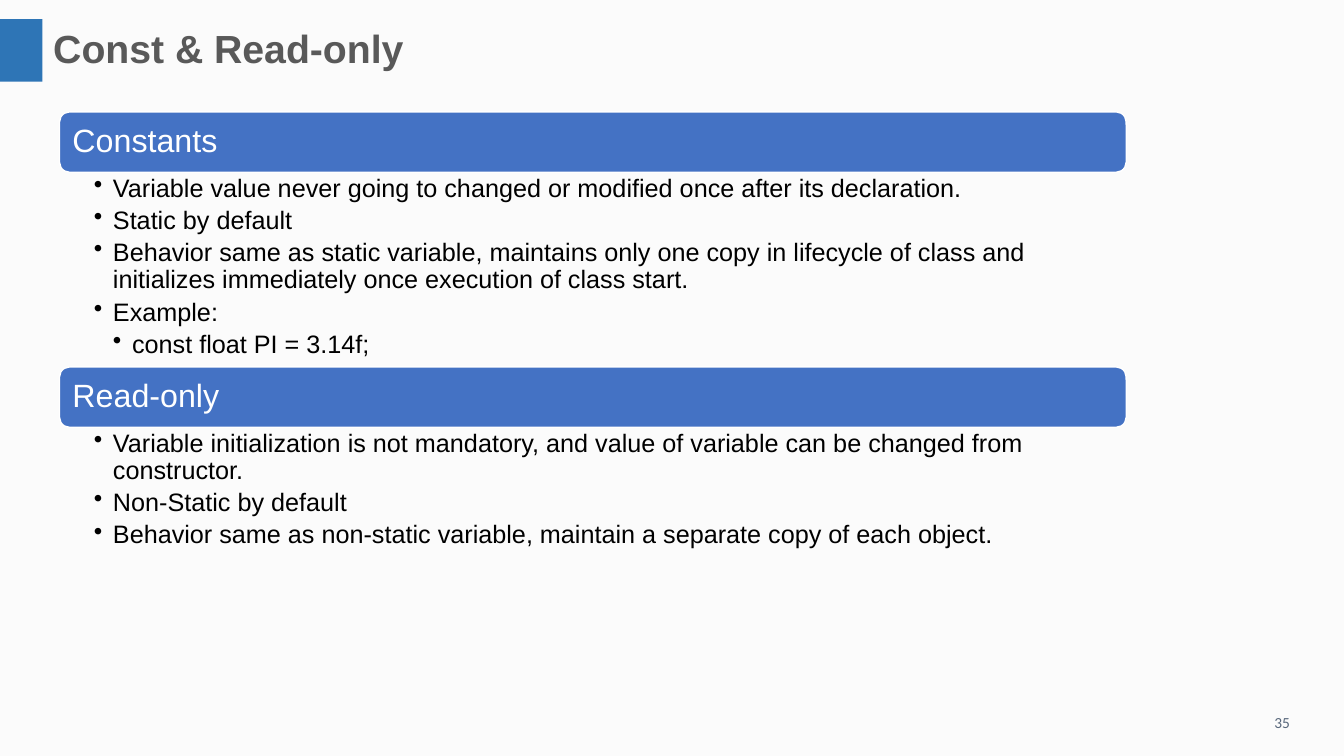
"""Build the slide that compares constants with read-only fields."""
from dataclasses import dataclass

from lxml import etree
from pptx import Presentation
from pptx import util as u
from pptx.dml.color import RGBColor
from pptx.enum import shapes, text
from pptx.oxml.ns import qn
from pptx.shapes.autoshape import Shape
from pptx.slide import Slide


@dataclass(frozen=True)
class Theme:
    background: str = "FBFBFB"
    accent: str = "2E75B6"
    bar: str = "4472C4"
    white: str = "FFFFFF"
    black: str = "000000"
    title: str = "595959"
    number: str = "58677B"
    font: str = "Arial"
    number_font: str = "Calibri"
    title_size: float = 28
    heading_size: float = 23
    body_size: float = 18
    number_size: float = 11


@dataclass(frozen=True)
class Box:
    left: float
    top: float
    width: float
    height: float

    def lengths(self) -> list[u.Length]:
        return [u.Inches(n) for n in (self.left, self.top, self.width, self.height)]


@dataclass(frozen=True)
class Line:
    text: str
    level: int = 0


@dataclass(frozen=True)
class Style:
    size: float
    color: str
    font: str = Theme.font
    bold: bool = False
    spacing: float = 0.9
    after: float = 0
    insets: tuple[float, float, float, float] = (0.1, 0.05, 0.1, 0.05)
    anchor: text.MSO_ANCHOR = text.MSO_ANCHOR.TOP


@dataclass(frozen=True)
class Section:
    heading: str
    body_height: float
    lines: tuple[Line, ...]


THEME = Theme()
TITLE = Style(THEME.title_size, THEME.title, bold=True)
NUMBER = Style(THEME.number_size, THEME.number, THEME.number_font, spacing=1)
HEADING = Style(THEME.heading_size, THEME.white, insets=(0.1,) * 4,
                anchor=text.MSO_ANCHOR.MIDDLE)
BODY = Style(THEME.body_size, THEME.black, after=3.6,
             insets=(0.34, 0.03, 0.18, 0.03))
LEFT, TOP, WIDTH, BAR_HEIGHT = 0.59, 1.11, 10.58, 0.6
BAR_PAD = 0.03
BULLET_INDENT = 0.19

SECTIONS = (
    Section("Constants", 1.93, (
        Line("Variable value never going to changed or modified once after its declaration.", 1),
        Line("Static by default", 1),
        Line("Behavior same as static variable, maintains only one copy in lifecycle of class "
             "and initializes immediately once execution of class start.", 1),
        Line("Example:", 1),
        Line("const float PI = 3.14f;", 2),
    )),
    Section("Read-only", 1.28, (
        Line("Variable initialization is not mandatory, and value of variable can be changed "
             "from constructor.", 1),
        Line("Non-Static by default", 1),
        Line("Behavior same as non-static variable, maintain a separate copy of each object.", 1),
    )),
)


def set_all(target: object, values: dict[str, object]) -> None:
    """Set each named attribute on the target."""
    for name, value in values.items():
        setattr(target, name, value)


def add_block(s: Slide, kind: shapes.MSO_SHAPE, box: Box, fill: str,
              outline: str | None = None) -> Shape:
    """Add a filled shape, outlined if a colour is given."""
    sp = s.shapes.add_shape(kind, *box.lengths())
    sp.shadow.inherit = False
    sp.fill.solid()
    sp.fill.fore_color.rgb = RGBColor.from_string(fill)
    if outline:
        sp.line.color.rgb = RGBColor.from_string(outline)
        sp.line.width = u.Pt(1)
    else:
        sp.line.fill.background()
    return sp


def add_text(s: Slide, box: Box, lines: tuple[Line, ...], style: Style) -> Shape:
    """Add a text box with one paragraph a line, bulleted above level zero."""
    sp = s.shapes.add_textbox(*box.lengths())
    tf = sp.text_frame
    left, top, right, bottom = map(u.Inches, style.insets)
    set_all(tf, {"word_wrap": True, "vertical_anchor": style.anchor,
                 "margin_left": left, "margin_top": top,
                 "margin_right": right, "margin_bottom": bottom})
    for i, line in enumerate(lines):
        p = tf.add_paragraph() if i else tf.paragraphs[0]
        set_all(p, {"level": line.level, "line_spacing": style.spacing,
                    "space_after": u.Pt(style.after)})
        if line.level:
            add_bullet(p, line.level)
        r = p.add_run()
        r.text = line.text
        set_all(r.font, {"name": style.font, "size": u.Pt(style.size), "bold": style.bold})
        r.font.color.rgb = RGBColor.from_string(style.color)
    return sp


def add_bullet(p: object, level: int) -> None:
    """Give the paragraph a hanging bullet."""
    props = p._p.get_or_add_pPr()
    props.set("marL", str(u.Inches(BULLET_INDENT * level)))
    props.set("indent", str(-u.Inches(BULLET_INDENT)))
    etree.SubElement(props, qn("a:buChar")).set("char", "•")


def add_section(s: Slide, section: Section, top: float) -> float:
    """Draw a heading bar with its bullets and return the bottom edge."""
    bar = Box(LEFT, top, WIDTH, BAR_HEIGHT)
    label = Box(LEFT + BAR_PAD, top + BAR_PAD, WIDTH - 2 * BAR_PAD, BAR_HEIGHT - 2 * BAR_PAD)
    body = Box(LEFT, top + BAR_HEIGHT, WIDTH, section.body_height)
    add_block(s, shapes.MSO_SHAPE.ROUNDED_RECTANGLE, bar, THEME.bar, THEME.white)
    add_text(s, label, (Line(section.heading),), HEADING)
    add_text(s, body, section.lines, BODY)
    return body.top + body.height


def main() -> None:
    """Build and save the slide."""
    prs = Presentation()
    set_all(prs, {"slide_width": u.Inches(13.33), "slide_height": u.Inches(7.5)})
    s = prs.slides.add_slide(prs.slide_layouts[6])
    s.background.fill.solid()
    s.background.fill.fore_color.rgb = RGBColor.from_string(THEME.background)
    add_text(s, Box(12.54, 7.03, 0.45, 0.29), (Line("35"),), NUMBER)
    add_block(s, shapes.MSO_SHAPE.RECTANGLE, Box(0, 0.19, 0.42, 0.62), THEME.accent)
    add_text(s, Box(0.43, 0.24, 12.9, 0.55), (Line("Const & Read-only"),), TITLE)
    top = TOP
    for section in SECTIONS:
        top = add_section(s, section, top)
    prs.save("out.pptx")


if __name__ == "__main__":
    main()
